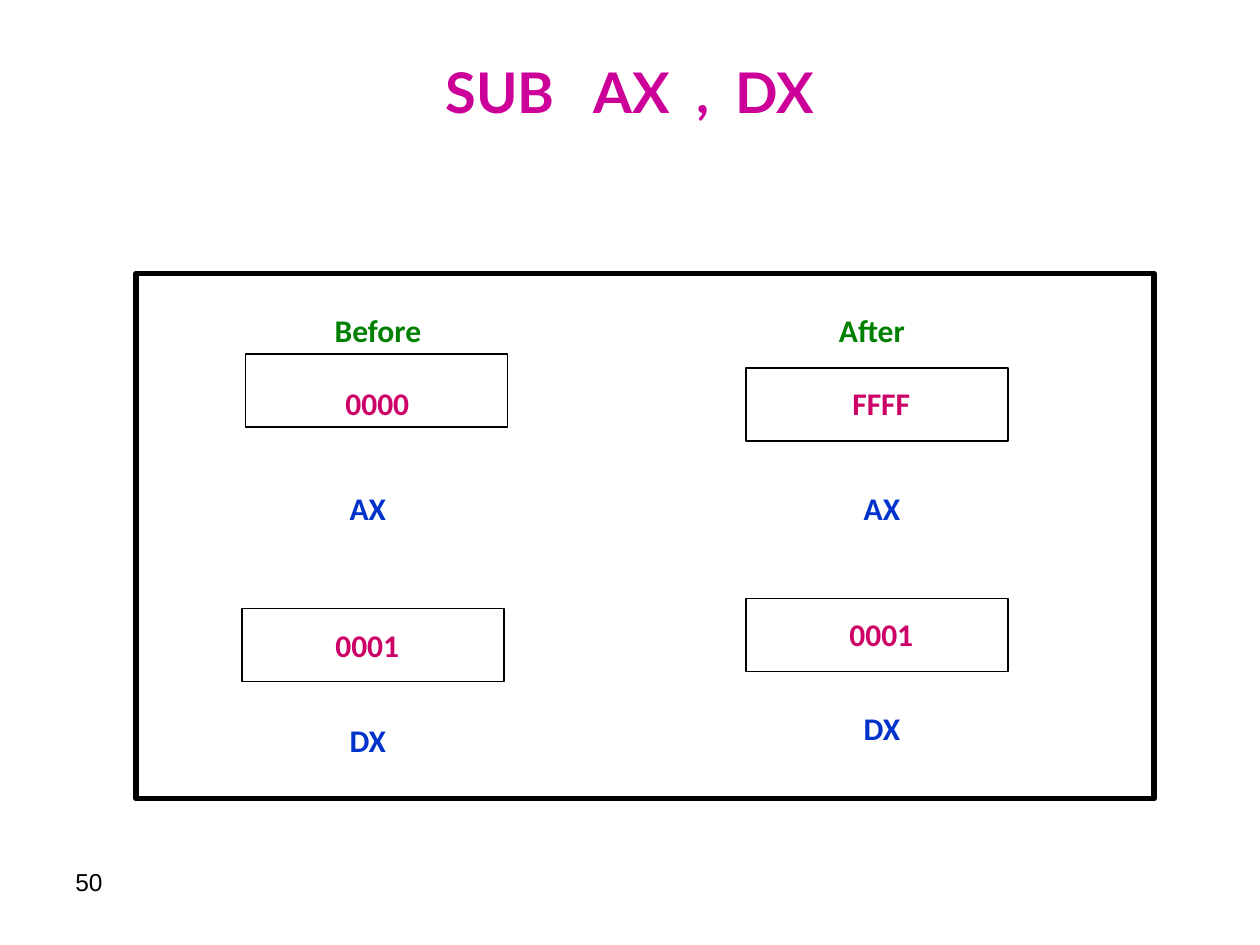
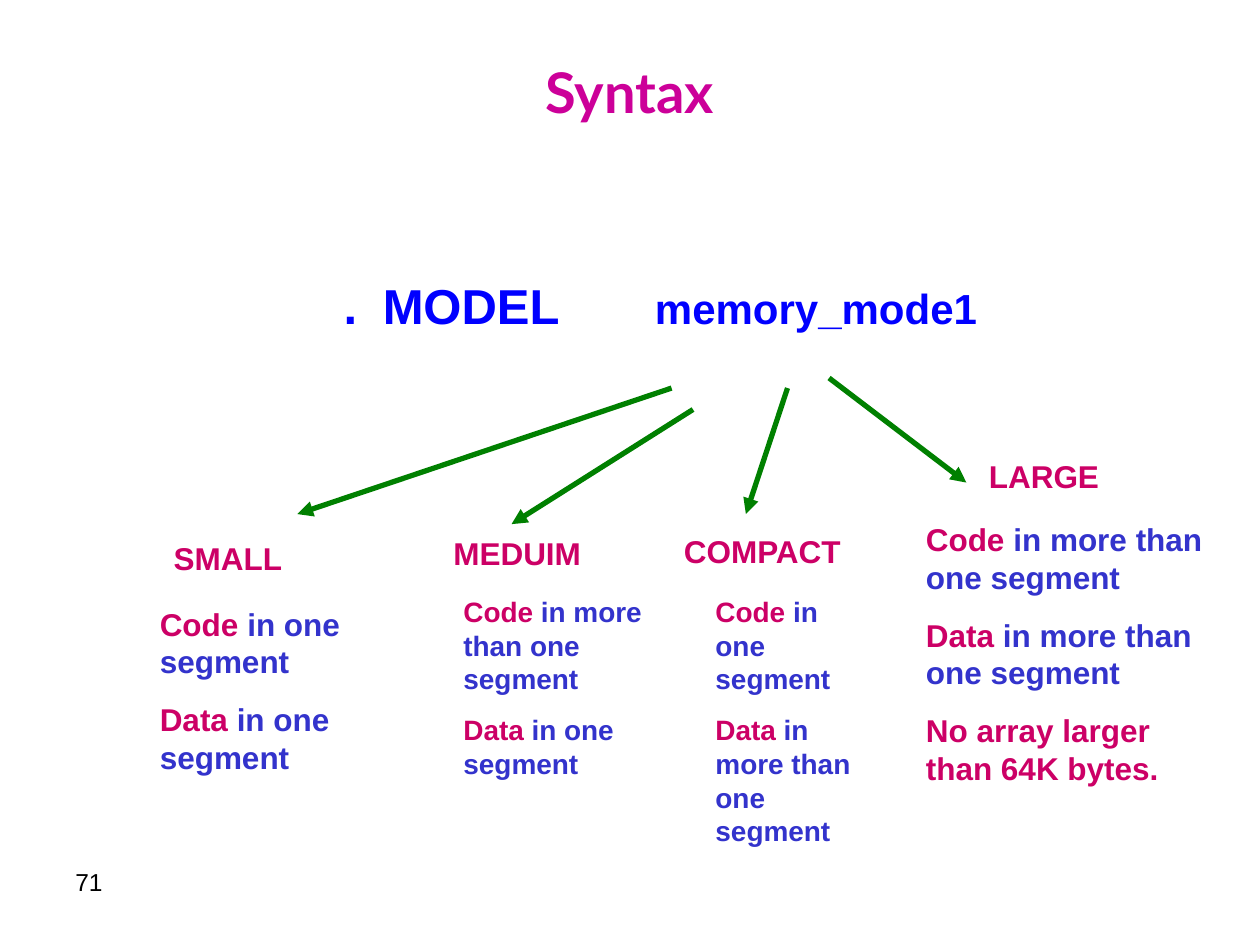
from lxml import etree
from pptx import Presentation
from pptx import util as u
from pptx.dml.color import RGBColor
from pptx.enum import shapes, text
from pptx.oxml.ns import qn

PX = 9144  # EMU, 100 px to the inch
COLORS = {
    "title": "CC0099", "ink": "000000", "green": "008000", "register": "0033CC",
    "accent": "CC0066", "body": "3333CC", "syntax": "0000FF",
}
LEFT, CENTER = text.PP_ALIGN.LEFT, text.PP_ALIGN.CENTER


def px(length):
    return u.Emu(length * PX)


def rgb(name):
    return RGBColor.from_string(COLORS[name])


def write_run(paragraph, content, size=18, font="Arial", color="ink", bold=True, spacing=0):
    """Add one run; spacing is extra width after each character, in points."""
    run = paragraph.add_run()
    run.text = content
    run.font.size, run.font.name, run.font.bold = u.Pt(size), font, bold
    run.font.color.rgb = rgb(color)
    if spacing:
        run.font._element.set("spc", str(round(spacing * 100)))


class Deck:
    def __init__(self):
        self.presentation = Presentation()
        self.presentation.slide_width, self.presentation.slide_height = px(1000), px(750)
        self.slide = None

    def new_slide(self, title_runs, number):
        self.slide = self.presentation.slides.add_slide(self.presentation.slide_layouts[6])
        self.text(50, 30, 900, 85, [title_runs], align=CENTER,
                  anchor=text.MSO_ANCHOR.MIDDLE, size=32, font="Lato", color="title")
        self.text(50, 683, 233, 52, str(number), size=14, bold=False)

    def text(self, left, top, width, height, content, align=LEFT,
             anchor=text.MSO_ANCHOR.TOP, before=0, tabs=(), **style):
        """Content is a string, or paragraphs made of (words, style changes) runs."""
        frame = self.slide.shapes.add_textbox(*map(px, (left, top, width, height))).text_frame
        frame.word_wrap = True
        frame.vertical_anchor = anchor
        paragraphs = [[(content, {})]] if isinstance(content, str) else content
        for index, runs in enumerate(paragraphs):
            paragraph = frame.add_paragraph() if index else frame.paragraphs[0]
            paragraph.alignment, paragraph.space_before = align, u.Pt(before)
            if tabs:
                stops = etree.SubElement(paragraph._p.get_or_add_pPr(), qn("a:tabLst"))
                for stop in tabs:
                    etree.SubElement(stops, qn("a:tab"), pos=str(px(stop)), algn="l")
            for words, changes in runs:
                write_run(paragraph, words, **{**style, **changes})

    def frame(self, left, top, width, height, weight):
        shape = self.slide.shapes.add_shape(
            shapes.MSO_SHAPE.RECTANGLE, *map(px, (left, top, width, height)))
        shape.shadow.inherit = False
        shape.fill.background()
        shape.line.color.rgb, shape.line.width = rgb("ink"), u.Pt(weight)

    def arrow(self, *ends):
        connector = self.slide.shapes.add_connector(
            shapes.MSO_CONNECTOR.STRAIGHT, *map(px, ends))
        connector.line.color.rgb, connector.line.width = rgb("green"), u.Pt(3)
        etree.SubElement(connector.line._get_or_add_ln(), qn("a:tailEnd"), type="triangle")
        etree.SubElement(connector._element.spPr, qn("a:effectLst"))


def registers_slide(deck):
    wide_gap, gap = (" ", {"spacing": 14.5}), (" ", {"spacing": 7.2})
    deck.new_slide([("SUB", {}), wide_gap, ("AX", {}), gap, (",", {}), gap, ("DX", {})], 50)
    deck.frame(108, 217, 808, 417, 3)

    def label(left, top, width, content, color):
        deck.text(left, top, width, 40, content, align=CENTER, font="Calibri", color=color)

    label(200, 242, 200, "Before", "green")
    label(592, 242, 200, "After", "green")
    # box left, box top, value, value left, value top, register, register left, register top
    registers = [
        (195, 281, "0000", 208, 300, "AX", 192, 383),
        (592, 292, "FFFF", 608, 300, "AX", 600, 383),
        (192, 483, "0001", 200, 492, "DX", 192, 567),
        (592, 475, "0001", 608, 483, "DX", 600, 558),
    ]
    for left, top, value, value_left, value_top, register, name_left, name_top in registers:
        deck.frame(left, top, 208, 58, 0.75)
        label(value_left, value_top, 183, value, "accent")
        label(name_left, name_top, 200, register, "register")


def syntax_slide(deck):
    deck.new_slide([("Syntax", {})], 71)
    deck.text(263, 214, 620, 57, [[(".\tMODEL\t", {}), ("memory_mode1", {"size": 24})]],
              tabs=(31, 247), size=28, color="syntax")

    # name, name box, arrow ends, rules box, rules size, rules as (key words, rest)
    models = [
        ("SMALL", (128, 423, 117), (533, 308, 236, 408), (117, 475, 183, 146), 18,
         [("Code", " in one segment"), ("Data", " in one segment")]),
        ("MEDUIM", (350, 419, 150), (550, 325, 406, 416), (358, 467, 167, 157), 16,
         [("Code", " in more than one segment"), ("Data", " in one segment")]),
        ("COMPACT", (533, 417, 167), (625, 308, 592, 408), (558, 467, 142, 211), 16,
         [("Code", " in one segment"), ("Data", " in more than one segment")]),
        ("LARGE", (775, 358, 117), (658, 300, 767, 383), (725, 408, 250, 267), 18,
         [("Code", " in more than one segment"), ("Data", " in more than one segment"),
          ("No array larger than 64K bytes.", "")]),
    ]
    for name, name_box, ends, rules_box, size, rules in models:
        deck.arrow(*ends)
        deck.text(*name_box, 40, name, color="accent")
        paragraphs = [[(key, {"color": "accent"})] + ([(rest, {})] if rest else [])
                      for key, rest in rules]
        deck.text(*rules_box, paragraphs, before=size * 0.625, size=size, color="body")


def main():
    deck = Deck()
    registers_slide(deck)
    syntax_slide(deck)
    deck.presentation.save("out.pptx")


if __name__ == "__main__":
    main()
